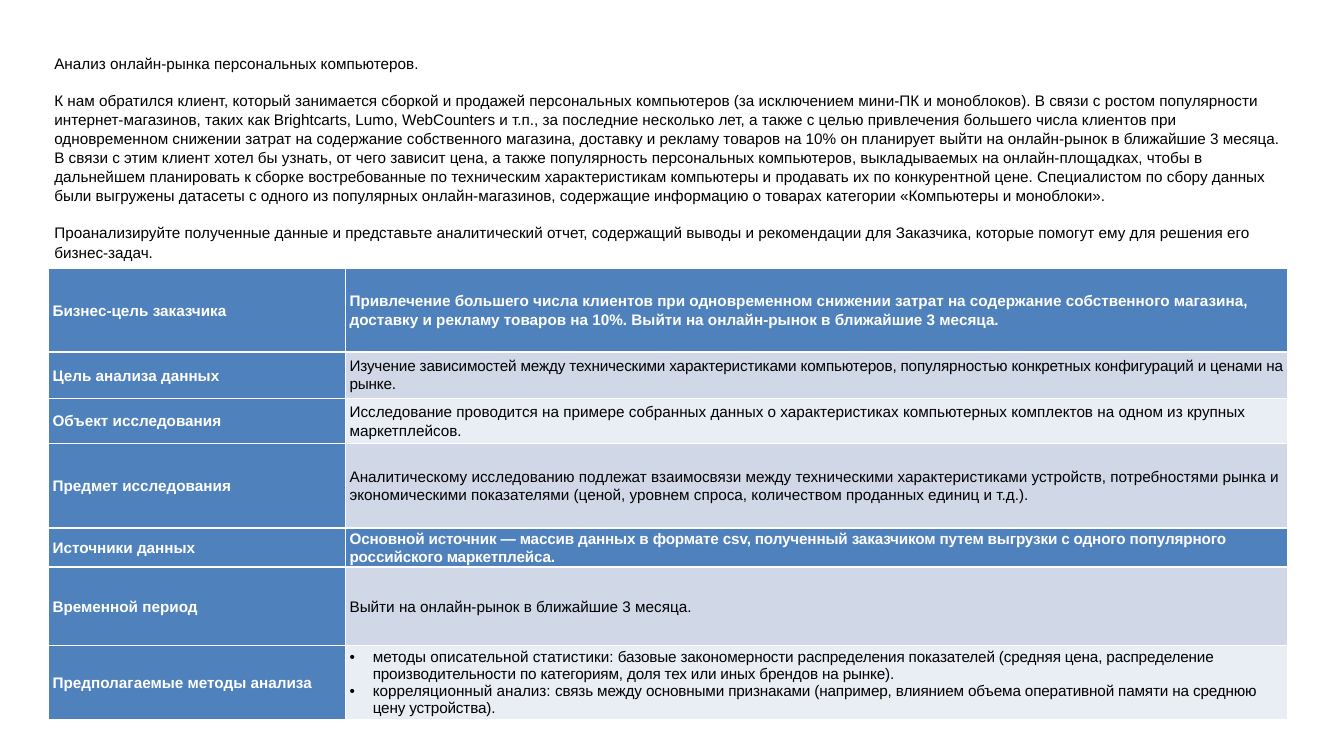
from pptx import Presentation
from pptx.dml.color import RGBColor
from pptx.enum.text import MSO_ANCHOR
from pptx.oxml.ns import qn
from pptx.util import Pt
from lxml import etree

PX = 9144  # 100 px to the inch
MIDDLE = MSO_ANCHOR.MIDDLE
BLACK = RGBColor(0x00, 0x00, 0x00)
WHITE = RGBColor(0xFF, 0xFF, 0xFF)
BLUE = RGBColor(0x4F, 0x81, 0xBD)
BANDS = (RGBColor(0xE9, 0xED, 0xF4), RGBColor(0xD0, 0xD8, 0xE8))
FONT, SIZE = "Arial", Pt(18)
COLS = (486, 1542)
SPACED, PLAIN, LIST = range(3)

# Paragraphs of runs
INTRO = (
    ["Анализ онлайн-рынка персональных компьютеров."],
    ["К нам обратился клиент, который занимается сборкой и продажей персональных компьютеров "
     "(за исключением мини-ПК и моноблоков). ",
     "В связи с ростом популярности интернет-магазинов, таких как Brightcarts, Lumo, WebCounters "
     "и т.п., за последние несколько лет, а также с целью привлечения большего числа клиентов при "
     "одновременном снижении затрат на содержание собственного магазина, доставку и рекламу "
     "товаров на 10% он планирует выйти на онлайн-рынок в ближайшие 3 месяца. ",
     "В связи с этим клиент хотел бы узнать, от чего зависит цена, а также популярность "
     "персональных компьютеров, выкладываемых на онлайн-площадках, чтобы в дальнейшем "
     "планировать к сборке востребованные по техническим характеристикам компьютеры и продавать "
     "их по конкурентной цене. ",
     "Специалистом по сбору данных были выгружены датасеты с одного из популярных "
     "онлайн-магазинов, содержащие информацию о товарах категории «Компьютеры и моноблоки»."],
    ["Проанализируйте полученные данные и представьте аналитический отчет, содержащий выводы и "
     "рекомендации для Заказчика, которые помогут ему для решения его бизнес-задач."],
)

# Rows: height, label, layout, paragraphs of (text, letter spacing) runs
GOALS = (
    (137, "Бизнес-цель заказчика", SPACED, [[(
        "Привлечение большего числа клиентов при одновременном снижении затрат на содержание "
        "собственного магазина, доставку и рекламу товаров на 10%. Выйти на онлайн-рынок "
        "в ближайшие 3 месяца.", 0)]]),
    (76, "Цель анализа данных", PLAIN, [[(
        "Изучение зависимостей между техническими характеристиками компьютеров, популярностью "
        "конкретных конфигураций и ценами на рынке.", -20)]]),
    (74, "Объект исследования", SPACED, [[(
        "Исследование проводится на примере собранных данных о характеристиках компьютерных "
        "комплектов на одном из крупных маркетплейсов.", 0)]]),
    (137, "Предмет исследования", SPACED, [[(
        "Аналитическому исследованию подлежат взаимосвязи между техническими характеристиками "
        "устройств, потребностями рынка и экономическими показателями (ценой, уровнем спроса, "
        "количеством проданных единиц и т.д.).", 0)]]),
)
DATA = (
    (62, "Источники данных", SPACED, [[(
        "Основной источник — массив данных в формате csv, полученный заказчиком путем выгрузки "
        "с одного популярного российского маркетплейса.", -20)]]),
    (128, "Временной период", SPACED, [[("Выйти на онлайн-рынок в ближайшие 3 месяца.", 0)]]),
    (121, "Предполагаемые методы анализа", LIST, [
        [("методы описательной статистики: ", 0),
         ("базовые закономерности распределения показателей (средняя цена, распределение "
          "производительности по категориям, доля тех или иных брендов на рынке).", -20)],
        [("корреляционный анализ: ", 0),
         ("связь между основными признаками (например, влиянием объема оперативной памяти "
          "на среднюю цену устройства).", -20)]]),
)


def add_run(para, text, color, bold=False, gap=0):
    run = para.add_run()
    run.text = text
    font = run.font
    font.name, font.size, font.bold = FONT, SIZE, bold
    font.color.rgb = color
    if gap:
        run._r.get_or_add_rPr().set("spc", str(gap))


def add_bullet(para):
    props = para._p.get_or_add_pPr()
    props.set("marL", str(38 * PX))
    props.set("indent", str(-38 * PX))
    color = etree.SubElement(props, qn("a:buClr"))
    etree.SubElement(color, qn("a:srgbClr"), val=str(BLACK))
    etree.SubElement(props, qn("a:buFont"), typeface=FONT)
    etree.SubElement(props, qn("a:buChar"), char="•")


def add_edges(cell, top, bottom):
    props = cell._tc.get_or_add_tcPr()
    for side, width in (("L", 1), ("R", 1), ("T", top), ("B", bottom)):
        line = etree.SubElement(props, qn("a:ln" + side), w=str(Pt(width)))
        fill = etree.SubElement(line, qn("a:solidFill"))
        etree.SubElement(fill, qn("a:srgbClr"), val=str(WHITE))


def fill_cell(cell, paras, layout, back, color, bold):
    cell.fill.solid()
    cell.fill.fore_color.rgb = back
    cell.vertical_anchor = MIDDLE
    cell.margin_left = cell.margin_right = 7 * PX
    cell.margin_top = cell.margin_bottom = 0
    frame = cell.text_frame
    for i, runs in enumerate(paras):
        para = frame.add_paragraph() if i else frame.paragraphs[0]
        if layout == LIST:
            add_bullet(para)
        elif layout == SPACED:
            para.line_spacing = 1.07
            para.space_after = Pt(4)
        for text, gap in runs:
            add_run(para, text, color, bold, gap)


def add_intro(slide, left, top, width, height):
    box = slide.shapes.add_textbox(left * PX, top * PX, width * PX, height * PX)
    frame = box.text_frame
    frame.word_wrap = True
    for i, runs in enumerate(INTRO):
        para = frame.add_paragraph() if i else frame.paragraphs[0]
        para.line_spacing = 1.04
        if i:
            para.space_before = Pt(21.5)
        for text in runs:
            add_run(para, text, BLACK)


def add_grid(slide, rows, left, top):
    height = sum(row[0] for row in rows)
    shape = slide.shapes.add_table(len(rows), len(COLS), left * PX, top * PX,
                                   sum(COLS) * PX, height * PX)
    table = shape.table
    table.first_row = table.horz_banding = False
    for col, width in zip(table.columns, COLS):
        col.width = width * PX
    for i, (high, label, layout, paras) in enumerate(rows):
        table.rows[i].height = high * PX
        head = i == 0
        name, body = table.cell(i, 0), table.cell(i, 1)
        for cell in (name, body):
            add_edges(cell, 3 if i == 1 else 1, 3 if head else 1)
        fill_cell(name, [[(label, 0)]], SPACED, BLUE, WHITE, True)
        fill_cell(body, paras, layout, BLUE if head else BANDS[i % 2],
                  WHITE if head else BLACK, head)


def main():
    deck = Presentation()
    deck.slide_width, deck.slide_height = 2199 * PX, 1237 * PX
    slide = deck.slides.add_slide(deck.slide_layouts[6])
    # Task text
    add_intro(slide, 79, 82, 2028, 343)
    # Goals, then data and methods
    add_grid(slide, GOALS, 79, 439)
    add_grid(slide, DATA, 79, 864)
    deck.save("out.pptx")


if __name__ == "__main__":
    main()
